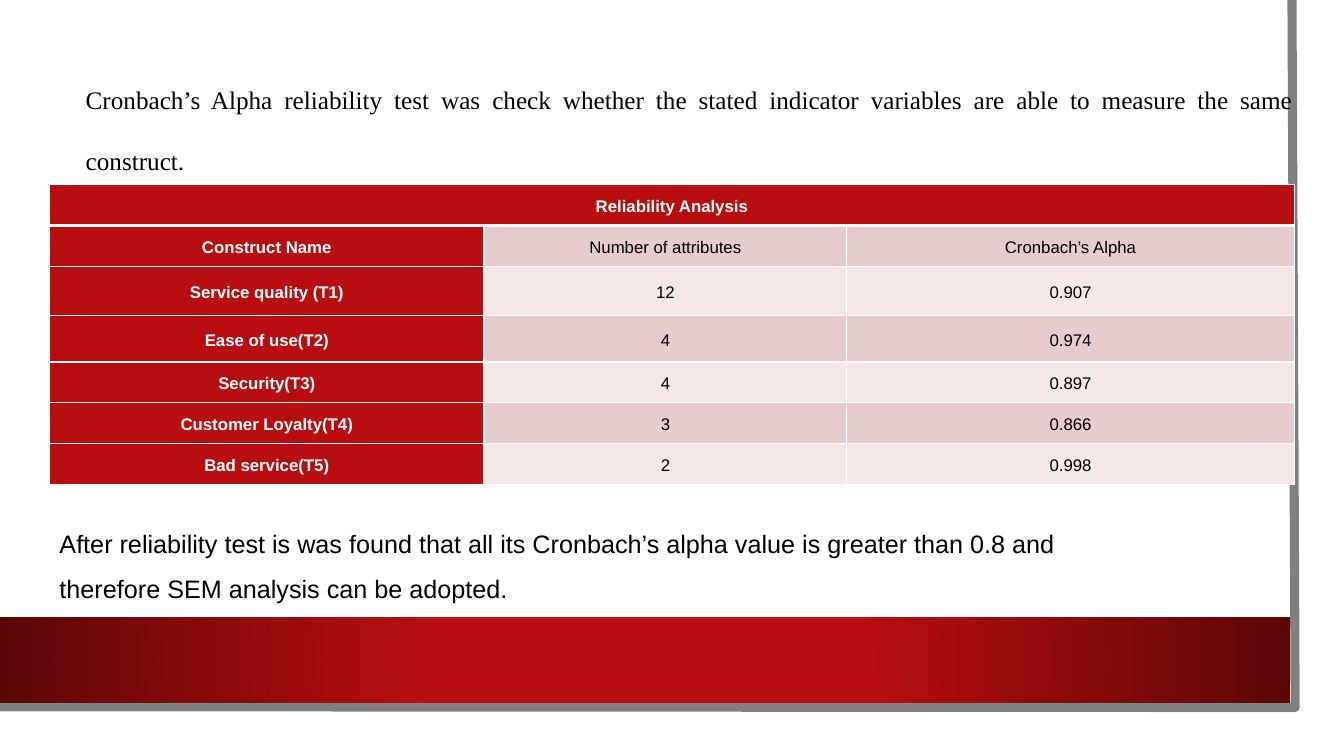
from lxml.etree import SubElement as Sub
from pptx import Presentation
from pptx.dml.color import RGBColor as RGB
from pptx.enum.text import MSO_ANCHOR as Anchor, MSO_AUTO_SIZE as Fit, PP_ALIGN as Align
from pptx.enum.shapes import MSO_SHAPE as Shape
from pptx.oxml import parse_xml
from pptx.oxml.ns import nsdecls, qn
from pptx.util import Cm, Pt

INTRO = ("Cronbach’s Alpha reliability test was check whether the stated "
         "indicator variables are able to measure the same construct.")
CLOSE = ("After reliability test is was found that all its Cronbach’s alpha value "
         "is greater than 0.8 and therefore SEM analysis can be adopted.")
TITLE = "Reliability Analysis"
ROWS = [
    ("Construct Name", "Number of attributes", "Cronbach’s Alpha"),
    ("Service quality (T1)", "12", "0.907"),
    ("Ease of use(T2)", "4", "0.974"),
    ("Security(T3)", "4", "0.897"),
    ("Customer Loyalty(T4)", "3", "0.866"),
    ("Bad service(T5)", "2", "0.998"),
]
WIDTHS = (10.95, 9.14, 11.28)
HEIGHTS = (1.03, 1.03, 1.24, 1.17, 1.03, 1.03, 1.03)
FRAME = [(32.56, 0), (32.64, 17.83), (-0.08, 17.81)]
HEX = {"red": "B80E0F", "dark": "5C0707", "gray": "808080", "white": "FFFFFF",
       "black": "000000", "rose": "E6CCCC", "pale": "F3E7E7"}


def tint(name):
    return RGB.from_string(HEX[name])


def style(para, face, size, color, space, bold=False):
    para.font.name, para.font.size, para.font.bold = face, Pt(size), bold
    para.font.color.rgb = tint(color)
    para.line_spacing = space


def draw_frame(slide):
    pts = [(Cm(x), Cm(y)) for x, y in FRAME]
    form = slide.shapes.build_freeform(*pts[0])
    form.add_line_segments(pts[1:], close=False)
    edge = form.convert_to_shape()
    edge.shadow.inherit = False
    edge.fill.background()
    edge.line.color.rgb = tint("gray")
    edge.line.width = Pt(6.5)


def draw_band(slide):
    band = slide.shapes.add_shape(Shape.RECTANGLE, 0, Cm(15.55), Cm(32.51), Cm(2.16))
    band.shadow.inherit = False
    band.line.fill.background()
    stops = "".join(f'<a:gs pos="{pos}"><a:srgbClr val="{HEX[name]}"/></a:gs>'
                    for pos, name in ((34000, "red"), (100000, "dark")))
    grad = parse_xml(
        f'<a:gradFill {nsdecls("a")} rotWithShape="1"><a:gsLst>{stops}</a:gsLst>'
        '<a:path path="circle"><a:fillToRect l="50000" t="50000" r="50000" b="50000"/>'
        '</a:path></a:gradFill>')
    band._element.spPr.find(qn("a:prstGeom")).addnext(grad)


def add_text(slide, text, box, face, space):
    frame = slide.shapes.add_textbox(*map(Cm, box)).text_frame
    frame.word_wrap = True
    frame.auto_size = Fit.SHAPE_TO_FIT_TEXT
    para = frame.paragraphs[0]
    para.text = text
    style(para, face, 18, "black", space)
    return para


def add_edges(cell, row):
    props = cell._tc.get_or_add_tcPr()
    for side in "LRTB":
        thick = (row, side) in ((0, "B"), (1, "T"))
        line = Sub(props, qn(f"a:ln{side}"), w=str(Pt(3 if thick else 1)))
        Sub(Sub(line, qn("a:solidFill")), qn("a:srgbClr"), val=HEX["white"])


def draw_table(slide):
    grid = slide.shapes.add_table(len(HEIGHTS), len(WIDTHS), Cm(1.25), Cm(4.65),
                                  Cm(sum(WIDTHS)), Cm(sum(HEIGHTS))).table
    for col, width in zip(grid.columns, WIDTHS):
        col.width = Cm(width)
    for row, high in zip(grid.rows, HEIGHTS):
        row.height = Cm(high)
    grid.cell(0, 0).merge(grid.cell(0, len(WIDTHS) - 1))
    for r, words in enumerate([(TITLE, "", "")] + ROWS):
        for c, word in enumerate(words):
            cell = grid.cell(r, c)
            head = r == 0 or c == 0
            add_edges(cell, r)
            cell.fill.solid()
            cell.fill.fore_color.rgb = tint("red" if head else "rose" if r % 2 else "pale")
            cell.vertical_anchor = Anchor.MIDDLE
            cell.margin_left = cell.margin_right = Cm(0.18)
            cell.margin_top = cell.margin_bottom = 0
            para = cell.text_frame.paragraphs[0]
            para.text = word
            para.alignment = Align.CENTER
            para.space_after = Pt(10)
            style(para, "Arial", 12, "white" if head else "black", 1.15, head)


def main():
    """Build the reliability analysis slide."""
    deck = Presentation()
    deck.slide_width, deck.slide_height = Cm(33.87), Cm(19.05)
    slide = deck.slides.add_slide(deck.slide_layouts[6])
    draw_frame(slide)
    draw_band(slide)
    intro = add_text(slide, INTRO, (1.91, 1.24, 30.94, 3.1), "Times New Roman", 2.0)
    intro.alignment = Align.JUSTIFY
    intro.space_after = Pt(10)
    draw_table(slide)
    add_text(slide, CLOSE, (1.25, 12.8, 28.14, 2.41), "Arial", 1.5)
    deck.save("out.pptx")


if __name__ == "__main__":
    main()
